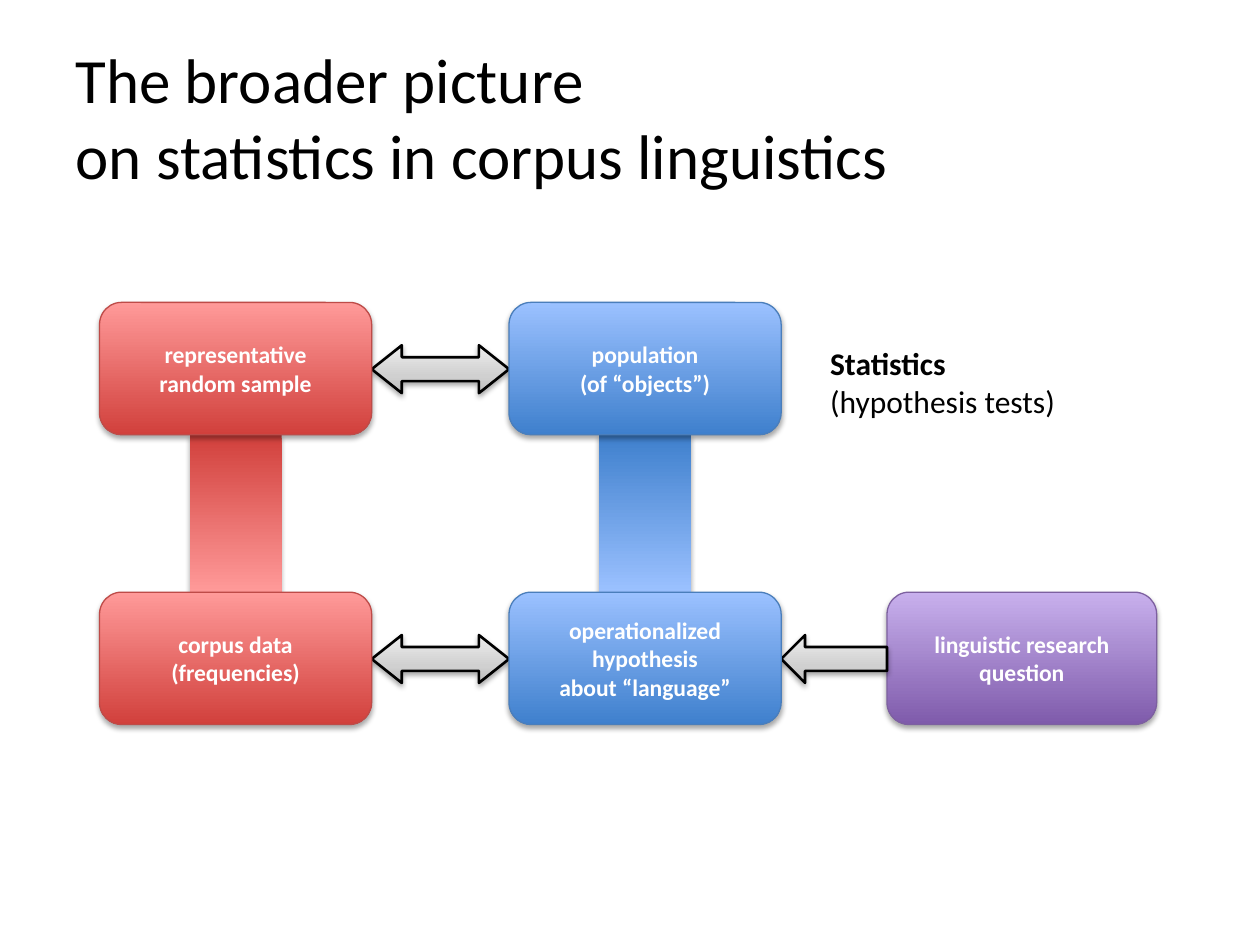
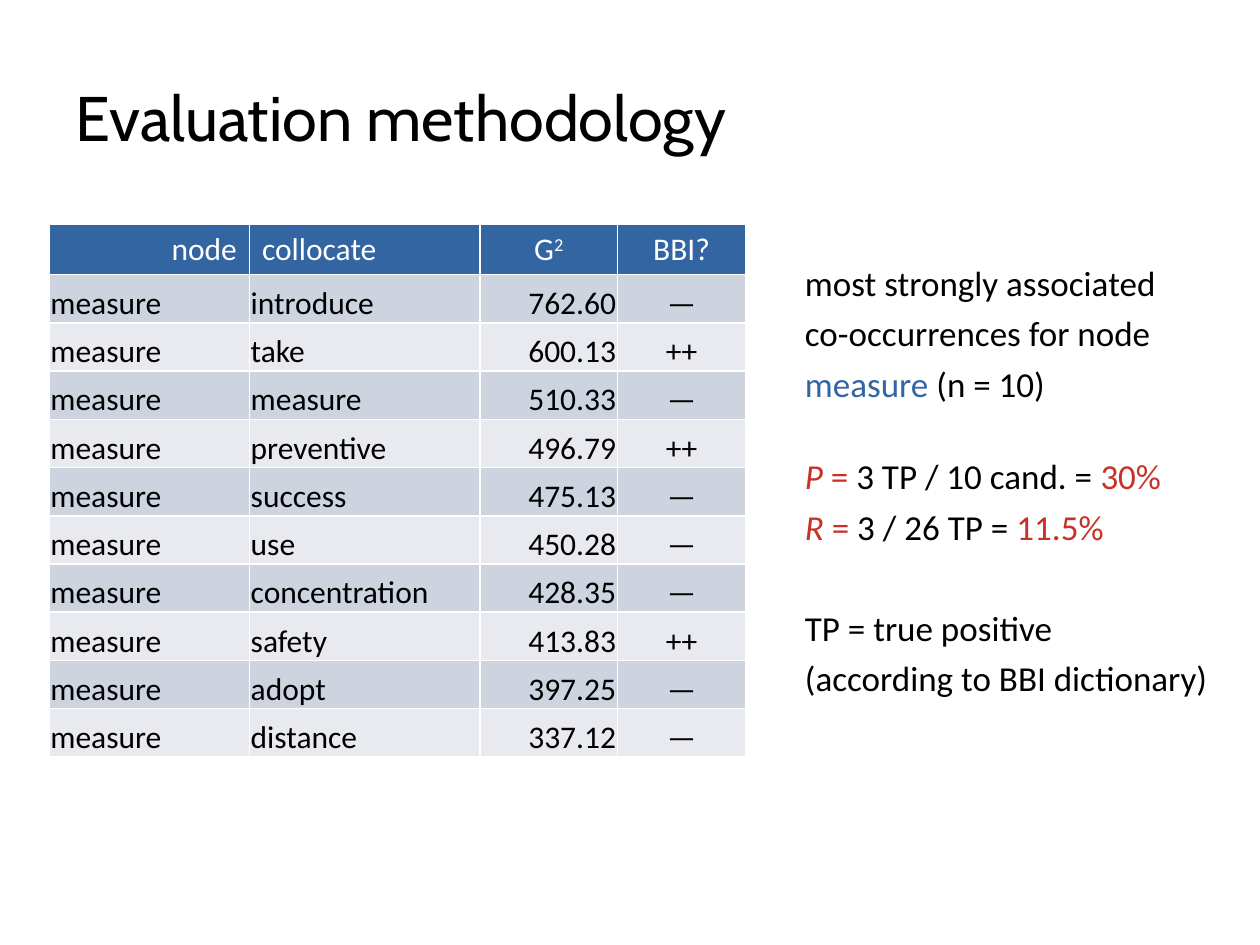
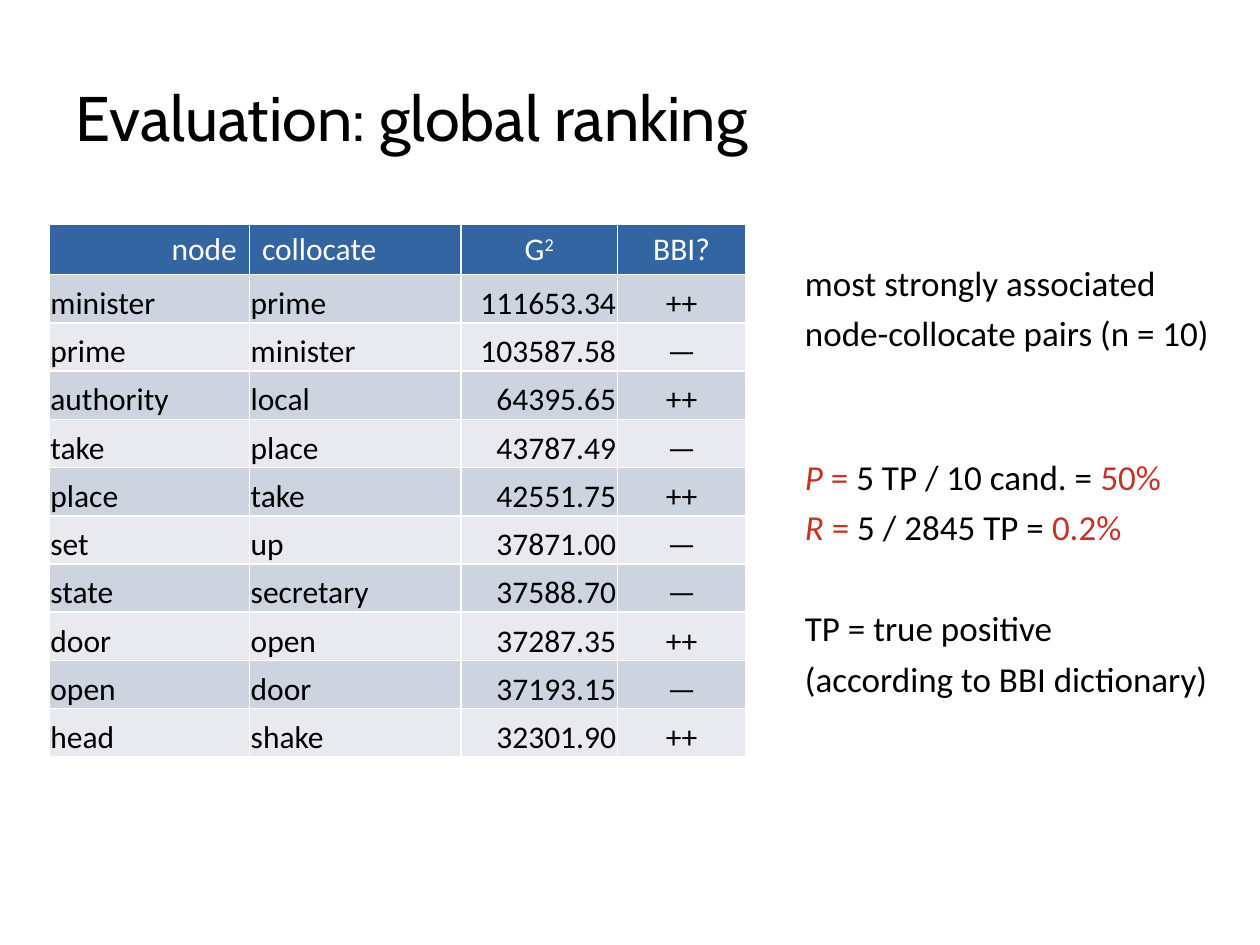
from lxml import etree
from pptx import Presentation
from pptx.dml.color import RGBColor
from pptx.enum.shapes import MSO_SHAPE
from pptx.enum.text import MSO_ANCHOR, MSO_AUTO_SIZE, PP_ALIGN
from pptx.oxml.ns import qn
from pptx.util import Inches, Pt

LEFT, CENTER, RIGHT = PP_ALIGN.LEFT, PP_ALIGN.CENTER, PP_ALIGN.RIGHT
TOP, MIDDLE, BOTTOM = MSO_ANCHOR.TOP, MSO_ANCHOR.MIDDLE, MSO_ANCHOR.BOTTOM
RECTANGLE, ROUNDED = MSO_SHAPE.RECTANGLE, MSO_SHAPE.ROUNDED_RECTANGLE
LEFT_ARROW, DOUBLE_ARROW = MSO_SHAPE.LEFT_ARROW, MSO_SHAPE.LEFT_RIGHT_ARROW
FIT_SHAPE, NO_FIT = MSO_AUTO_SIZE.SHAPE_TO_FIT_TEXT, MSO_AUTO_SIZE.NONE

# Shared colours and fonts
BLACK, WHITE = "000000", "FFFFFF"
HEADER_BLUE, RESULT_RED = "3365A2", "C73127"
ROW_FILLS = ("CED3E0", "E8EAF0")
RED = ((0, "FF9A99"), (100, "D1403C"))
BLUE = ((0, "9BC1FF"), (100, "3F80CD"))
PURPLE = ((0, "C8B0ED"), (100, "7F5BAB"))
GREY = ((0, "EDEDED"), (65, "D0D0D0"), (100, "BCBCBC"))
TEXT_FONT, HEADING_FONT = "Calibri", "Cabin"

# Diagram grid, in inches
SAMPLE_X, POPULATION_X, QUESTION_X = 0.79, 4.04, 7.04
STATISTICS_Y, CORPUS_Y = 2.4, 4.7
BOX_WIDTH, BOX_HEIGHT = 2.16, 1.05
BAR_WIDTH, ARROW_HEIGHT = 0.73, 0.38

MEASURE_ROWS = [
    ("measure", "introduce", "762.60", "—"),
    ("measure", "take", "600.13", "++"),
    ("measure", "measure", "510.33", "—"),
    ("measure", "preventive", "496.79", "++"),
    ("measure", "success", "475.13", "—"),
    ("measure", "use", "450.28", "—"),
    ("measure", "concentration", "428.35", "—"),
    ("measure", "safety", "413.83", "++"),
    ("measure", "adopt", "397.25", "—"),
    ("measure", "distance", "337.12", "—"),
]
GLOBAL_ROWS = [
    ("minister", "prime", "111653.34", "++"),
    ("prime", "minister", "103587.58", "—"),
    ("authority", "local", "64395.65", "++"),
    ("take", "place", "43787.49", "—"),
    ("place", "take", "42551.75", "++"),
    ("set", "up", "37871.00", "—"),
    ("state", "secretary", "37588.70", "—"),
    ("door", "open", "37287.35", "++"),
    ("open", "door", "37193.15", "—"),
    ("head", "shake", "32301.90", "++"),
]


def color(hex_string):
    return RGBColor.from_string(hex_string)


def add_run(paragraph, text, size, hex_color=BLACK, font=TEXT_FONT, bold=False, italic=False):
    """Add text in one format; a newline becomes a line break."""
    for index, line in enumerate(text.split("\n")):
        if index:
            paragraph.add_line_break()
        if line:
            run = paragraph.add_run()
            run.text = line
            run.font.name, run.font.size = font, Pt(size)
            run.font.bold, run.font.italic = bold, italic
            run.font.color.rgb = color(hex_color)


def next_paragraph(frame, index):
    return frame.add_paragraph() if index else frame.paragraphs[0]


def add_titled_slide(presentation, text, font=HEADING_FONT):
    slide = presentation.slides.add_slide(presentation.slide_layouts[5])
    title = slide.shapes.title
    title.left, title.top = Inches(0.5), Inches(0.3)
    title.width, title.height = Inches(9), Inches(1.25)
    frame = title.text_frame
    frame.auto_size, frame.vertical_anchor = NO_FIT, MIDDLE
    frame.paragraphs[0].alignment = LEFT
    add_run(frame.paragraphs[0], text, 36, font=font)
    return slide


def add_text_box(slide, left, top, width, height):
    frame = slide.shapes.add_textbox(Inches(left), Inches(top), Inches(width), Inches(height)).text_frame
    frame.word_wrap, frame.auto_size = True, FIT_SHAPE
    return frame


# Diagram elements
def add_shaded_shape(slide, kind, left, top, width, height, stops, line=None, line_width=0.75):
    """Add a shape with a vertical gradient and a soft shadow below it."""
    shape = slide.shapes.add_shape(kind, Inches(left), Inches(top), Inches(width), Inches(height))
    shape.fill.gradient()
    shape.fill.gradient_angle = 270
    properties = shape._element.spPr
    stop_list = properties.find(".//" + qn("a:gsLst"))
    for stop in list(stop_list):
        stop_list.remove(stop)
    for position, hex_color in stops:
        stop = etree.SubElement(stop_list, qn("a:gs"), pos=str(position * 1000))
        etree.SubElement(stop, qn("a:srgbClr"), val=hex_color)
    if line:
        shape.line.color.rgb = color(line)
        shape.line.width = Pt(line_width)
    else:
        shape.line.fill.background()
    shape.shadow.inherit = False
    shadow = etree.SubElement(properties.find(qn("a:effectLst")), qn("a:outerShdw"),
                              blurRad=str(Pt(3.1)), dist=str(Pt(1.8)), dir="5400000", rotWithShape="0")
    shadow_color = etree.SubElement(shadow, qn("a:srgbClr"), val=BLACK)
    etree.SubElement(shadow_color, qn("a:alpha"), val="35000")
    return shape


def add_concept_box(slide, left, top, paragraphs, stops, line, width=BOX_WIDTH):
    box = add_shaded_shape(slide, ROUNDED, left, top, width, BOX_HEIGHT, stops, line)
    frame = box.text_frame
    frame.word_wrap, frame.vertical_anchor = True, MIDDLE
    for index, text in enumerate(paragraphs):
        paragraph = next_paragraph(frame, index)
        paragraph.alignment = CENTER
        add_run(paragraph, text, 13.5, WHITE, bold=True)


def add_bar(slide, box_left, stops):
    """Join the two boxes of a column, shaded the opposite way to them."""
    (_, light), (_, dark) = stops
    top = STATISTICS_Y + BOX_HEIGHT
    add_shaded_shape(slide, RECTANGLE, box_left + (BOX_WIDTH - BAR_WIDTH) / 2, top,
                     BAR_WIDTH, CORPUS_Y - top, ((0, dark), (100, light)))


def add_block_arrow(slide, kind, box_left, next_left, row_top, head):
    """Fill the gap between two neighbouring boxes."""
    left = box_left + BOX_WIDTH
    arrow = add_shaded_shape(slide, kind, left, row_top + 0.34, next_left - left,
                             ARROW_HEIGHT, GREY, BLACK, 1.5)
    arrow.adjustments[0], arrow.adjustments[1] = 0.5, head


# Evaluation elements
def fill_cell(cell, text, alignment, fill, text_color):
    cell.fill.solid()
    cell.fill.fore_color.rgb = color(fill)
    paragraph = cell.text_frame.paragraphs[0]
    paragraph.alignment = alignment
    add_run(paragraph, text, 18, text_color)
    return paragraph


def add_collocation_table(slide, rows, column_widths):
    alignments = (LEFT, LEFT, RIGHT, CENTER)
    header_height, row_height = Inches(0.4), Inches(3.83) // len(rows)
    table = slide.shapes.add_table(len(rows) + 1, len(column_widths), Inches(0.39), Inches(1.78),
                                   Inches(sum(column_widths)), Inches(4.23)).table
    for column, width in zip(table.columns, column_widths):
        column.width = Inches(width)
    for index, row in enumerate(table.rows):
        row.height = row_height if index else header_height

    headers = zip(("node", "collocate", "G", "BBI?"), (RIGHT, LEFT, CENTER, CENTER))
    for column, (text, alignment) in enumerate(headers):
        paragraph = fill_cell(table.cell(0, column), text, alignment, HEADER_BLUE, WHITE)
        if text == "G":
            add_run(paragraph, "2", 18, WHITE)
            paragraph.runs[-1]._r.get_or_add_rPr().set("baseline", "30000")

    for row, values in enumerate(rows, 1):
        for column, text in enumerate(values):
            cell = table.cell(row, column)
            fill_cell(cell, text, alignments[column], ROW_FILLS[(row - 1) % 2], BLACK)
            cell.vertical_anchor = BOTTOM
            cell.margin_left = cell.margin_right = cell.margin_top = Inches(0.01)
            cell.margin_bottom = 0


def add_findings(slide, summary, gap, precision, recall):
    """Summary runs, then the two scores, then the legend."""
    scores = [[(name, RESULT_RED, True), (" =", RESULT_RED), (working, BLACK), (value, RESULT_RED)]
              for name, (working, value) in (("P", precision), ("R", recall))]
    legend = [("TP = true positive\n(according to BBI dictionary)", BLACK)]
    frame = add_text_box(slide, 6.29, 1.96, 3.5, 3.72)
    for index, (runs, space) in enumerate(zip([summary, *scores, legend], (0, gap, 0, 29))):
        paragraph = next_paragraph(frame, index)
        paragraph.line_spacing = 1.2
        paragraph.space_before = Pt(space)
        for text, hex_color, *italic in runs:
            add_run(paragraph, text, 20, hex_color, italic=bool(italic))


# Slides
def build_broader_picture(presentation):
    slide = add_titled_slide(presentation, "The broader picture\non statistics in corpus linguistics", TEXT_FONT)
    add_bar(slide, SAMPLE_X, RED)
    add_bar(slide, POPULATION_X, BLUE)
    add_concept_box(slide, QUESTION_X, CORPUS_Y, ["linguistic research question"], PURPLE, "7D60A0", 2.14)
    add_block_arrow(slide, LEFT_ARROW, POPULATION_X, QUESTION_X, CORPUS_Y, 0.5)
    rows = (
        (CORPUS_Y, ["corpus data", "(frequencies)"],
         ["operationalized", "hypothesis", "about “language”"]),
        (STATISTICS_Y, ["representative\nrandom sample"], ["population", "(of “objects”)"]),
    )
    for top, data, theory in rows:
        add_block_arrow(slide, DOUBLE_ARROW, SAMPLE_X, POPULATION_X, top, 0.63)
        add_concept_box(slide, POPULATION_X, top, theory, BLUE, "4A7EBB")
        add_concept_box(slide, SAMPLE_X, top, data, RED, "BE4B48")
    label = add_text_box(slide, 6.49, 2.68, 2, 0.71).paragraphs[0]
    add_run(label, "Statistics\n", 18, bold=True)
    add_run(label, "(hypothesis tests)", 18)


def build_evaluation(presentation, title, rows, column_widths, *findings):
    slide = add_titled_slide(presentation, title)
    add_findings(slide, *findings)
    add_collocation_table(slide, rows, column_widths)


def main():
    presentation = Presentation()
    presentation.slide_width, presentation.slide_height = Inches(10), Inches(7.5)
    build_broader_picture(presentation)
    build_evaluation(
        presentation, "Evaluation methodology", MEASURE_ROWS, (1.59, 1.83, 1.09, 1.02),
        [("most strongly associated\nco-occurrences for node\n", BLACK),
         ("measure", HEADER_BLUE), (" (n = 10)", BLACK)],
        24, (" 3 TP / 10 cand. = ", "30%"), (" 3 / 26 TP = ", "11.5%"))
    build_evaluation(
        presentation, "Evaluation: global ranking", GLOBAL_ROWS, (1.59, 1.68, 1.24, 1.02),
        [("most strongly associated\nnode-collocate pairs (n = 10)", BLACK)],
        53, (" 5 TP / 10 cand. = ", "50%"), (" 5 / 2845 TP = ", "0.2%"))
    presentation.save("out.pptx")


if __name__ == "__main__":
    main()
